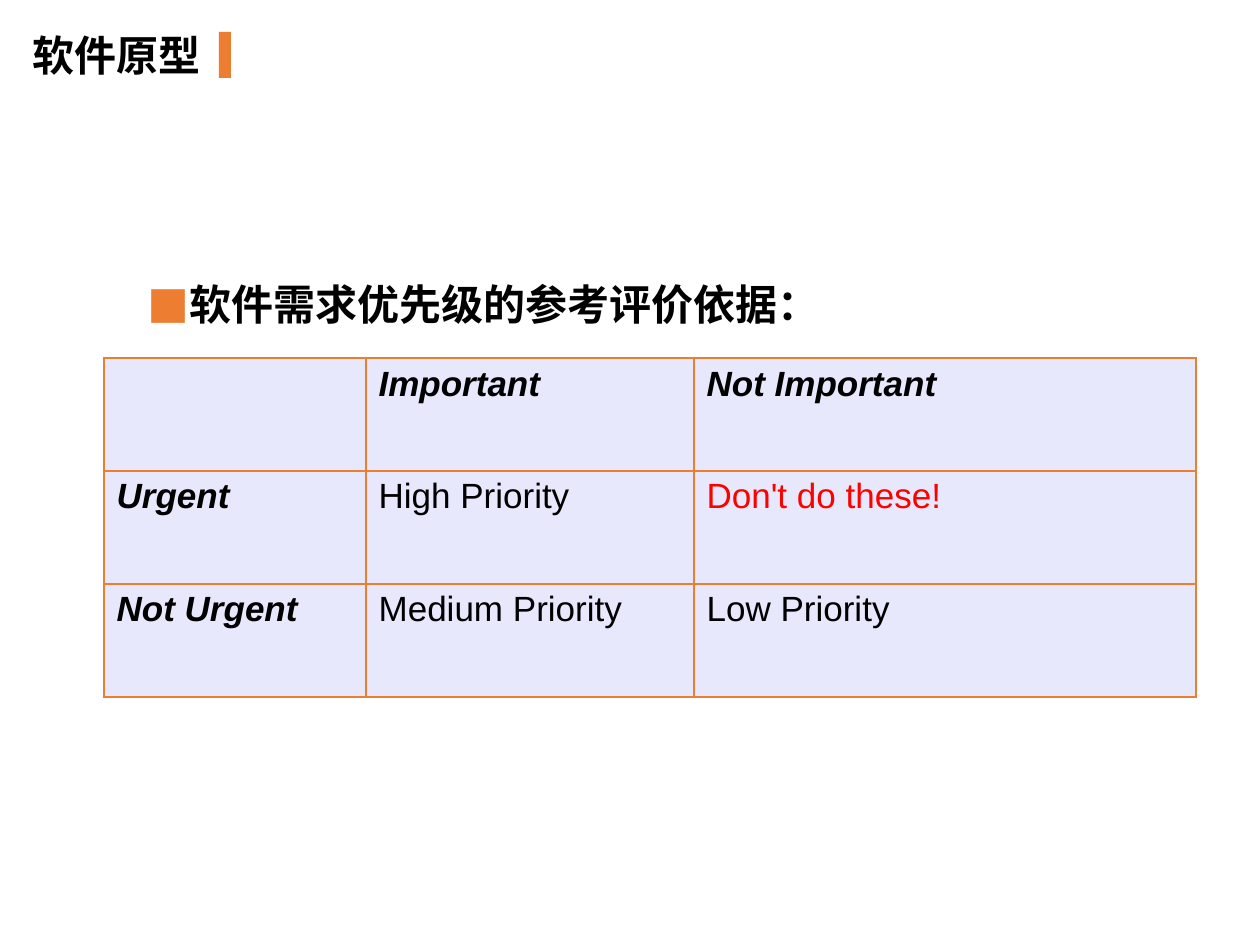
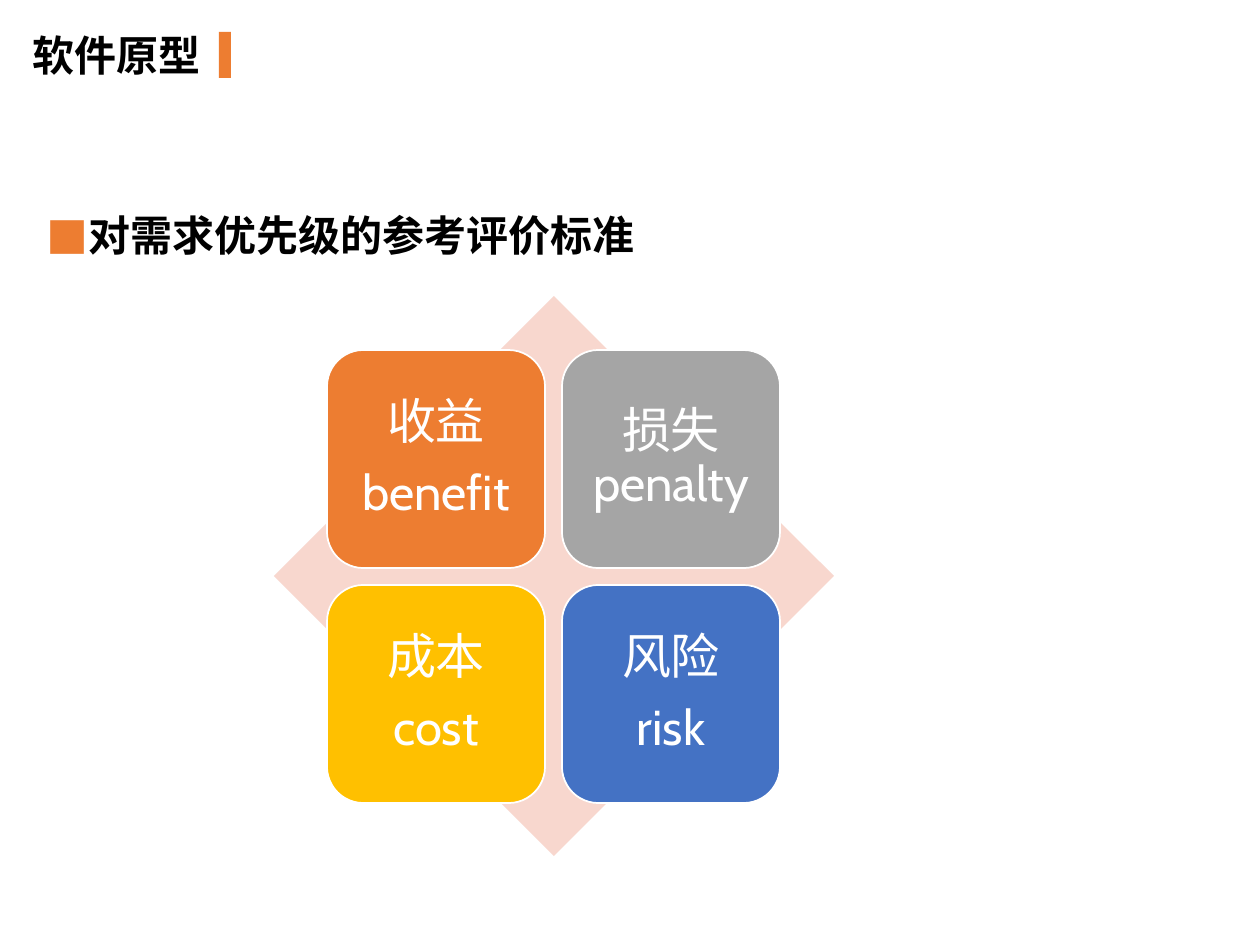
from dataclasses import dataclass

from lxml.etree import SubElement
from pptx import Presentation
from pptx.dml.color import RGBColor
from pptx.enum.shapes import MSO_SHAPE
from pptx.enum.text import MSO_ANCHOR, MSO_AUTO_SIZE, PP_ALIGN
from pptx.oxml.ns import qn
from pptx.util import Emu, Pt

EMU_PER_PX = 914400 / 126


@dataclass(frozen=True)
class Theme:
    """Colours, fonts and type sizes shared by the slides."""
    accent: str = "ED7D31"
    gray: str = "A5A5A5"
    gold: str = "FFC000"
    blue: str = "4472C4"
    diamond: str = "F8D7CE"
    cell: str = "E7E8FB"
    black: str = "000000"
    white: str = "FFFFFF"
    warning: str = "FF0000"
    heading_font: str = "Noto Sans CJK SC"
    table_font: str = "Arial"
    card_font: str = "Cabin"
    heading_size: int = 24
    table_size: int = 20
    card_size: int = 28


THEME = Theme()


def px(length):
    """Turn pixels into EMU."""
    return Emu(round(length * EMU_PER_PX))


def place(shape, left, top, width, height):
    """Move and size a shape, in pixels."""
    shape.left, shape.top = px(left), px(top)
    shape.width, shape.height = px(width), px(height)


def style_paragraph(paragraph, font_name, size, color, bold=False, italic=False):
    """Set the font of a whole paragraph, for Latin and Chinese text."""
    font = paragraph.font
    font.name, font.size = font_name, Pt(size)
    font.bold, font.italic = bold, italic
    font.color.rgb = RGBColor.from_string(color)
    if font_name == THEME.heading_font:
        properties = paragraph._p.get_or_add_pPr().find(qn("a:defRPr"))
        SubElement(properties, qn("a:ea"), typeface=font_name)


def add_bullet(paragraph, indent):
    """Give a paragraph a square accent bullet with a hanging indent."""
    properties = paragraph._p.get_or_add_pPr()
    properties.set("marL", str(px(indent)))
    properties.set("indent", str(-px(indent)))
    color = SubElement(properties, qn("a:buClr"))
    SubElement(color, qn("a:srgbClr"), val=THEME.accent)
    SubElement(properties, qn("a:buFont"), typeface=THEME.heading_font)
    SubElement(properties, qn("a:buChar"), char="■")


def fill_heading(placeholder, text, box):
    """Write a bold heading into a placeholder and return its paragraph."""
    place(placeholder, *box)
    frame = placeholder.text_frame
    frame.text = text
    frame.word_wrap = True
    frame.auto_size = MSO_AUTO_SIZE.NONE
    frame.vertical_anchor = MSO_ANCHOR.TOP
    return frame.paragraphs[0]


def add_preset(slide, preset, box, fill, line=None):
    """Add a flat preset shape, outlined only if a line colour is given."""
    shape = slide.shapes.add_shape(preset, *map(px, box))
    shape.shadow.inherit = False
    shape.fill.solid()
    shape.fill.fore_color.rgb = RGBColor.from_string(fill)
    if line:
        shape.line.color.rgb = RGBColor.from_string(line)
        shape.line.width = Pt(1)
    else:
        shape.line.fill.background()
    return shape


def add_topic_slide(presentation, title, topic, topic_box):
    """Add a slide with the title, its accent bar and one bulleted topic."""
    slide = presentation.slides.add_slide(presentation.slide_layouts[1])
    paragraph = fill_heading(slide.shapes.title, title, (20, 23, 232, 63))
    paragraph.alignment = PP_ALIGN.LEFT
    style_paragraph(paragraph, THEME.heading_font, THEME.heading_size, THEME.black, bold=True)
    add_preset(slide, MSO_SHAPE.RECTANGLE, (219, 32, 12, 46), THEME.accent)

    paragraph = fill_heading(slide.placeholders[1], topic, topic_box)
    paragraph.alignment = PP_ALIGN.JUSTIFY
    paragraph.line_spacing = 1.25
    paragraph.space_before = Pt(0)
    add_bullet(paragraph, 40)
    style_paragraph(paragraph, THEME.heading_font, THEME.heading_size, THEME.black, bold=True)
    return slide


def set_borders(cell):
    """Draw thin accent borders on all sides of a cell."""
    properties = cell._tc.get_or_add_tcPr()
    for index, side in enumerate(("lnL", "lnR", "lnT", "lnB")):
        line = properties.makeelement(qn(f"a:{side}"), {"w": str(Pt(1))})
        properties.insert(index, line)
        fill = SubElement(line, qn("a:solidFill"))
        SubElement(fill, qn("a:srgbClr"), val=THEME.accent)


def add_priority_table(slide, rows, column_widths, left, top, row_height):
    """Add the priority matrix, with bold italic row and column headings."""
    frame = slide.shapes.add_table(
        len(rows), len(column_widths), px(left), px(top),
        px(sum(column_widths)), px(row_height * len(rows)))
    table = frame.table
    table.first_row = table.horz_banding = False
    for column, width in zip(table.columns, column_widths):
        column.width = px(width)
    for row_index, row in enumerate(rows):
        for column_index, text in enumerate(row):
            cell = table.cell(row_index, column_index)
            cell.text = text
            cell.fill.solid()
            cell.fill.fore_color.rgb = RGBColor.from_string(THEME.cell)
            set_borders(cell)
            heading = row_index == 0 or column_index == 0
            color = THEME.warning if text.endswith("!") else THEME.black
            style_paragraph(cell.text_frame.paragraphs[0], THEME.table_font,
                            THEME.table_size, color, heading, heading)


def add_card(slide, box, fill, lines):
    """Add a rounded card with centred lines of text."""
    card = add_preset(slide, MSO_SHAPE.ROUNDED_RECTANGLE, box, fill, THEME.white)
    frame = card.text_frame
    frame.word_wrap = True
    frame.vertical_anchor = MSO_ANCHOR.MIDDLE
    frame.margin_left = frame.margin_right = px(15)
    frame.margin_top = frame.margin_bottom = px(15)
    frame.text = "\n".join(lines)
    for paragraph in frame.paragraphs:
        paragraph.alignment = PP_ALIGN.CENTER
        paragraph.line_spacing = 0.9
        paragraph.space_after = Pt(10)
        style_paragraph(paragraph, THEME.card_font, THEME.card_size, THEME.white)


def add_card_matrix(slide, cards, left, top, size, step):
    """Lay cards out in two columns."""
    for index, (fill, lines) in enumerate(cards):
        row, column = divmod(index, 2)
        add_card(slide, (left + column * step, top + row * step, size, size), fill, lines)


def main():
    """Build both slides and save the presentation."""
    presentation = Presentation()
    presentation.slide_width, presentation.slide_height = px(1260), px(945)
    title = "软件原型"

    slide = add_topic_slide(presentation, title, "软件需求优先级的参考评价依据：",
                            (135, 260, 1032, 70))
    rows = [
        ("", "Important", "Not Important"),
        ("Urgent", "High Priority", "Don't do these!"),
        ("Not Urgent", "Medium Priority", "Low Priority"),
    ]
    add_priority_table(slide, rows, (262, 328, 502), 104, 358, 113)

    slide = add_topic_slide(presentation, title, "对需求优先级的参考评价标准",
                            (34, 191, 959, 166))
    add_preset(slide, MSO_SHAPE.DIAMOND, (274, 296, 560, 560), THEME.diamond)
    cards = [
        (THEME.accent, ("收益", "benefit")),
        (THEME.gray, ("损失penalty",)),
        (THEME.gold, ("成本", "cost")),
        (THEME.blue, ("风险", "risk")),
    ]
    add_card_matrix(slide, cards, 327, 350, 218, 235)

    presentation.save("out.pptx")


if __name__ == "__main__":
    main()
